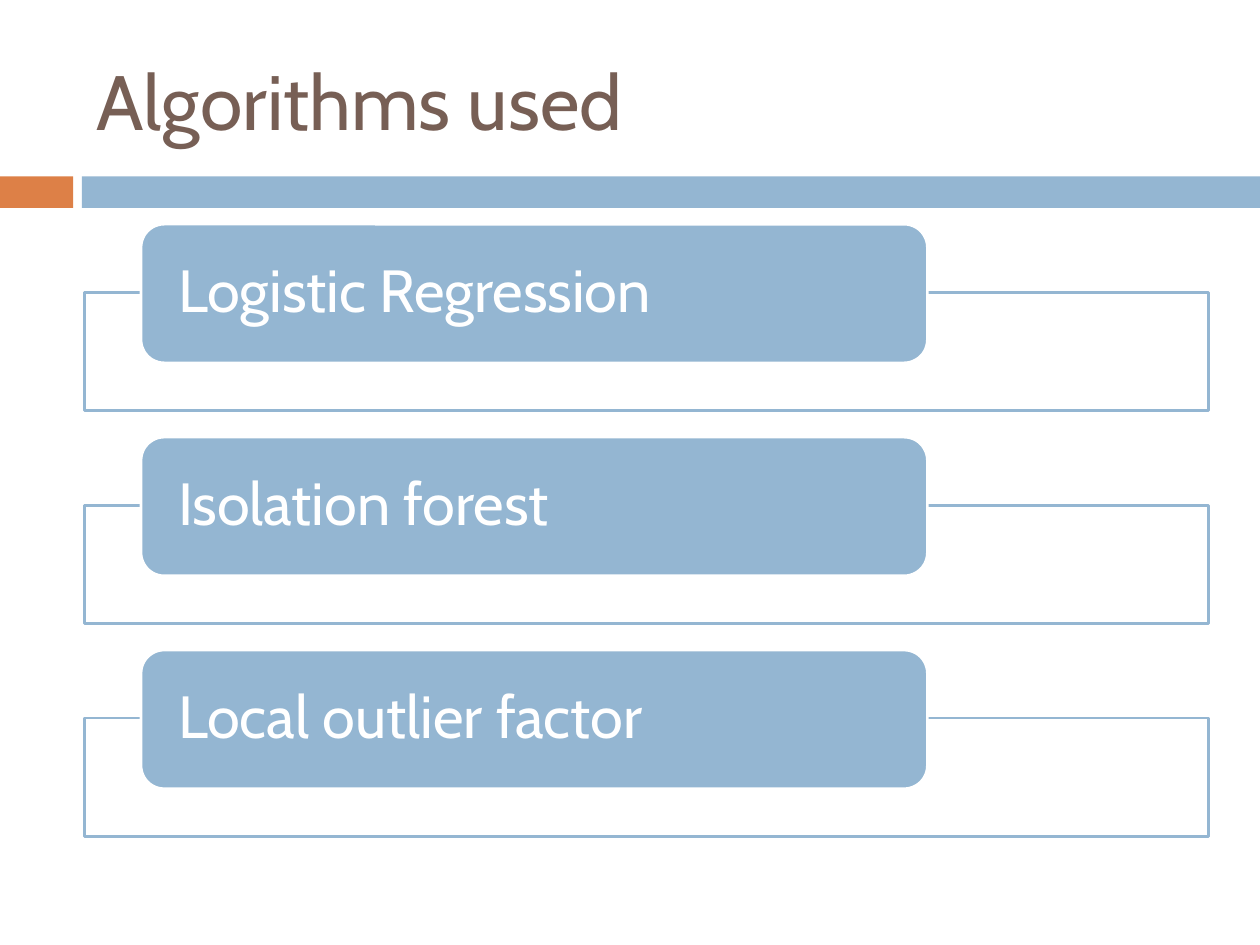
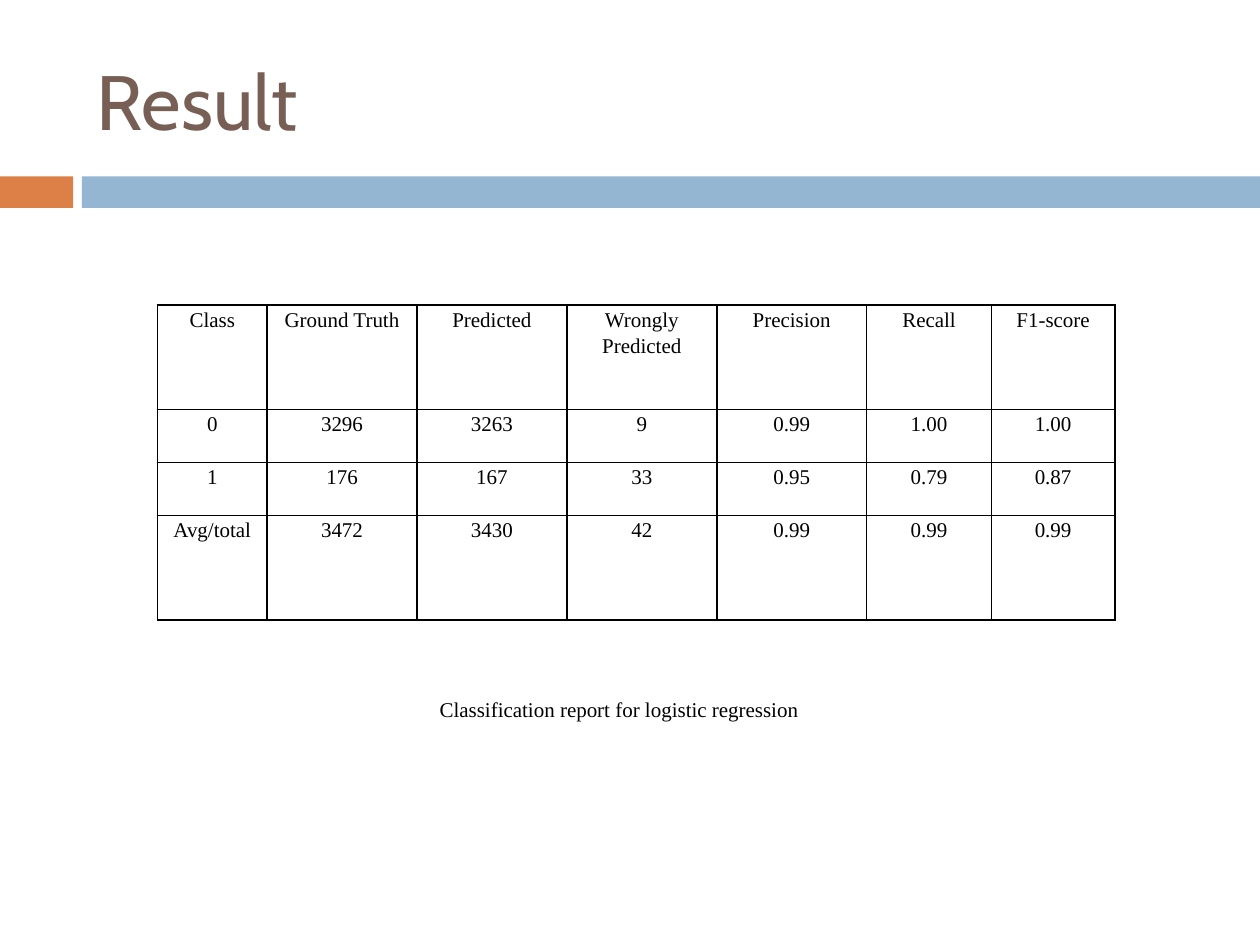
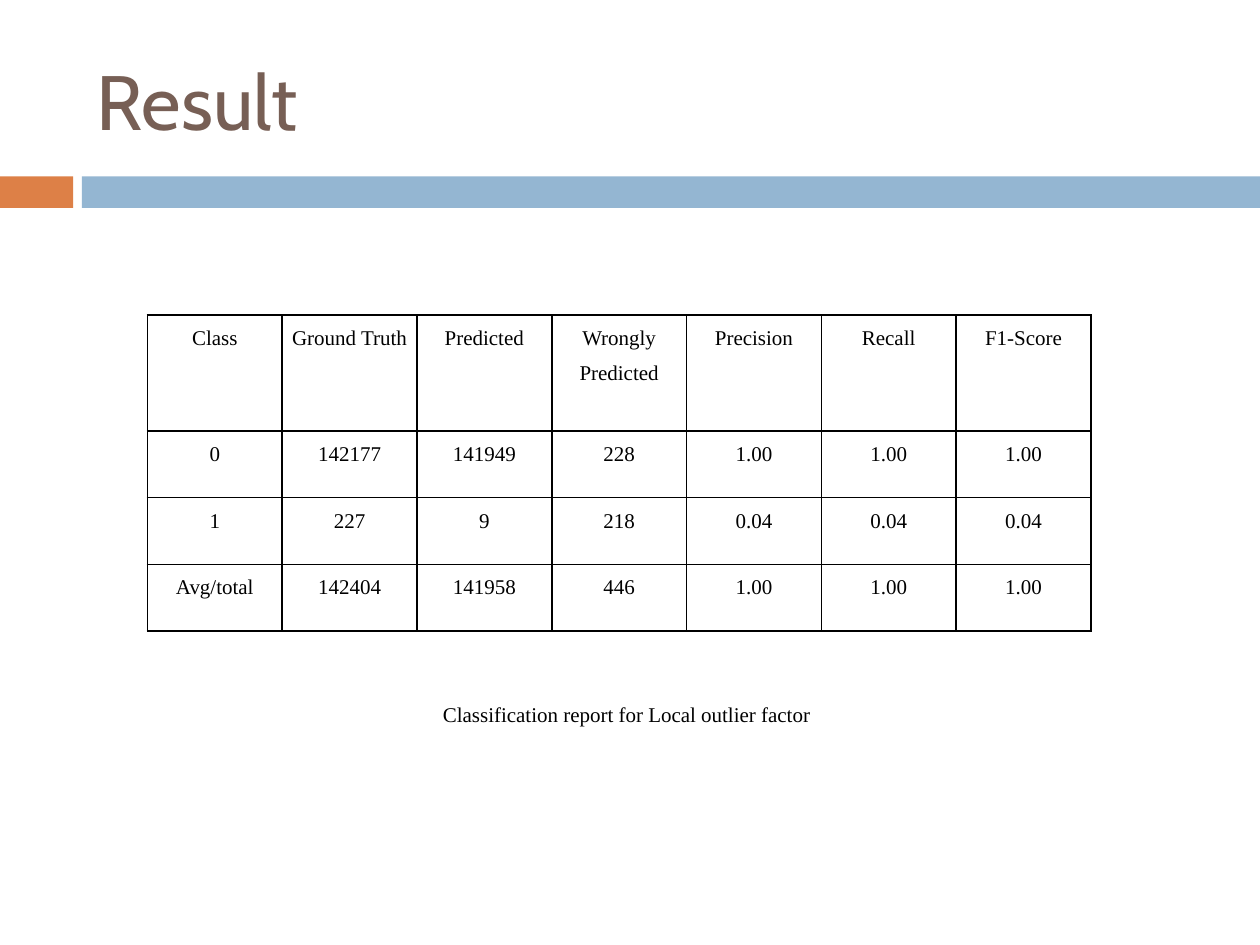
from lxml.etree import SubElement
from pptx import Presentation
from pptx.dml.color import RGBColor
from pptx.enum.shapes import MSO_SHAPE as Shape
from pptx.enum.text import MSO_ANCHOR as Anchor, PP_ALIGN as Align
from pptx.oxml.ns import qn
from pptx.util import Inches, Pt


def rgb(hex_string):
    return RGBColor.from_string(hex_string)


class Deck:
    """Holds the shared style and the slide being built."""
    BLUE, ORANGE, BROWN = "94B6D2", "DD8047", "775F55"
    WHITE, BLACK = "FFFFFF", "000000"
    HEADING_FONT, REPORT_FONT = "Cabin", "Times New Roman"

    def __init__(self):
        self.deck = Presentation()
        self.deck.slide_width, self.deck.slide_height = Inches(10), Inches(7.5)
        self.slide = None

    def new_slide(self, title):
        self.slide = self.deck.slides.add_slide(self.deck.slide_layouts[6])
        self.box(0, 1.4, 0.58, 0.25, self.ORANGE)
        self.box(0.65, 1.4, 9.35, 0.25, self.BLUE)
        self.text(title, 0.67, 0.25, 8.92, 1.08, 44, self.HEADING_FONT, self.BROWN)

    def fill_text(self, frame, words, size, font, color, align=Align.LEFT):
        frame.text = words
        paragraph = frame.paragraphs[0]
        paragraph.alignment = align
        for run in paragraph.runs:
            run.font.size, run.font.name = Pt(size), font
            run.font.color.rgb = rgb(color)
        return paragraph

    def text(self, words, x, y, w, h, size, font, color, align=Align.LEFT):
        frame = self.slide.shapes.add_textbox(
            Inches(x), Inches(y), Inches(w), Inches(h)).text_frame
        frame.word_wrap = True
        frame.vertical_anchor = Anchor.MIDDLE
        self.fill_text(frame, words, size, font, color, align)

    def box(self, x, y, w, h, fill, line=None, kind=Shape.RECTANGLE, opacity=None):
        shape = self.slide.shapes.add_shape(
            kind, Inches(x), Inches(y), Inches(w), Inches(h))
        shape.shadow.inherit = False
        shape.fill.solid()
        shape.fill.fore_color.rgb = rgb(fill)
        if opacity is not None:
            tint = shape.element.spPr.find(qn("a:solidFill"))[0]
            SubElement(tint, qn("a:alpha"), val=str(opacity * 1000))
        if line:
            shape.line.color.rgb = rgb(line)
            shape.line.width = Pt(1.5)
        else:
            shape.line.fill.background()
        return shape

    def algorithm(self, name, y):
        """An outlined frame with a rounded label over its top edge."""
        self.box(0.67, y + 0.54, 8.92, 0.94, self.WHITE, self.BLUE, opacity=90)
        label = self.box(1.12, y, 6.24, 1.1, self.BLUE, self.WHITE,
                         Shape.ROUNDED_RECTANGLE)
        frame = label.text_frame
        frame.word_wrap = True
        frame.vertical_anchor = Anchor.MIDDLE
        frame.margin_left = frame.margin_right = Inches(0.24)
        frame.margin_top = frame.margin_bottom = 0
        paragraph = self.fill_text(frame, name, 34, self.HEADING_FONT, self.WHITE)
        paragraph.line_spacing = 0.9

    def borders(self, cell):
        properties = cell._tc.get_or_add_tcPr()
        for side in ("lnL", "lnR", "lnT", "lnB"):
            edge = SubElement(properties, qn(f"a:{side}"), w=str(Pt(1)))
            ink = SubElement(edge, qn("a:solidFill"))
            SubElement(ink, qn("a:srgbClr"), val=self.BLACK)

    def report(self, rows, x, y, widths, heights, line_spacing, space_after):
        table = self.slide.shapes.add_table(
            len(rows), len(widths), Inches(x), Inches(y),
            Inches(sum(widths)), Inches(sum(heights))).table
        table.first_row = table.horz_banding = False
        for column, width in zip(table.columns, widths):
            column.width = Inches(width)
        for row, height, values in zip(table.rows, heights, rows):
            row.height = Inches(height)
            for cell, value in zip(row.cells, values):
                self.borders(cell)
                cell.fill.background()
                cell.margin_left = cell.margin_right = Inches(0.07)
                cell.margin_top = cell.margin_bottom = 0
                paragraph = self.fill_text(cell.text_frame, value, 12,
                                           self.REPORT_FONT, self.BLACK, Align.CENTER)
                paragraph.line_spacing = line_spacing
                paragraph.space_before = Pt(12)
                paragraph.space_after = Pt(space_after)

    def caption(self, words, x, y, w, h):
        self.text(words, x, y, w, h, 12, self.REPORT_FONT, self.BLACK, Align.CENTER)


HEADINGS = ["Class", "Ground Truth", "Predicted", "Wrongly Predicted",
            "Precision", "Recall"]
LOGISTIC_REGRESSION = [
    HEADINGS + ["F1-score"],
    ["0", "3296", "3263", "9", "0.99", "1.00", "1.00"],
    ["1", "176", "167", "33", "0.95", "0.79", "0.87"],
    ["Avg/total", "3472", "3430", "42", "0.99", "0.99", "0.99"],
]
LOCAL_OUTLIER_FACTOR = [
    HEADINGS + ["F1-Score"],
    ["0", "142177", "141949", "228", "1.00", "1.00", "1.00"],
    ["1", "227", "9", "218", "0.04", "0.04", "0.04"],
    ["Avg/total", "142404", "141958", "446", "1.00", "1.00", "1.00"],
]


def main():
    show = Deck()

    # Algorithms
    show.new_slide("Algorithms used")
    for i, name in enumerate(["Logistic Regression", "Isolation forest",
                              "Local outlier factor"]):
        show.algorithm(name, 1.78 + i * 1.69)

    # Logistic regression result
    show.new_slide("Result")
    show.report(LOGISTIC_REGRESSION, 1.25, 2.42, [0.87] + [1.19] * 4 + [0.99, 0.98],
                [0.83, 0.42, 0.42, 0.83], line_spacing=1.15, space_after=10)
    show.caption("Classification report for logistic regression",
                 -0.17, 5.48, 10.17, 0.3)

    # Local outlier factor result
    show.new_slide("Result")
    show.report(LOCAL_OUTLIER_FACTOR, 1.17, 2.5, [1.07] * 7,
                [0.92] + [0.53] * 3, line_spacing=1.5, space_after=0)
    show.caption("Classification report for Local outlier factor",
                 0, 5.42, 9.95, 0.5)

    show.deck.save("out.pptx")


if __name__ == "__main__":
    main()
